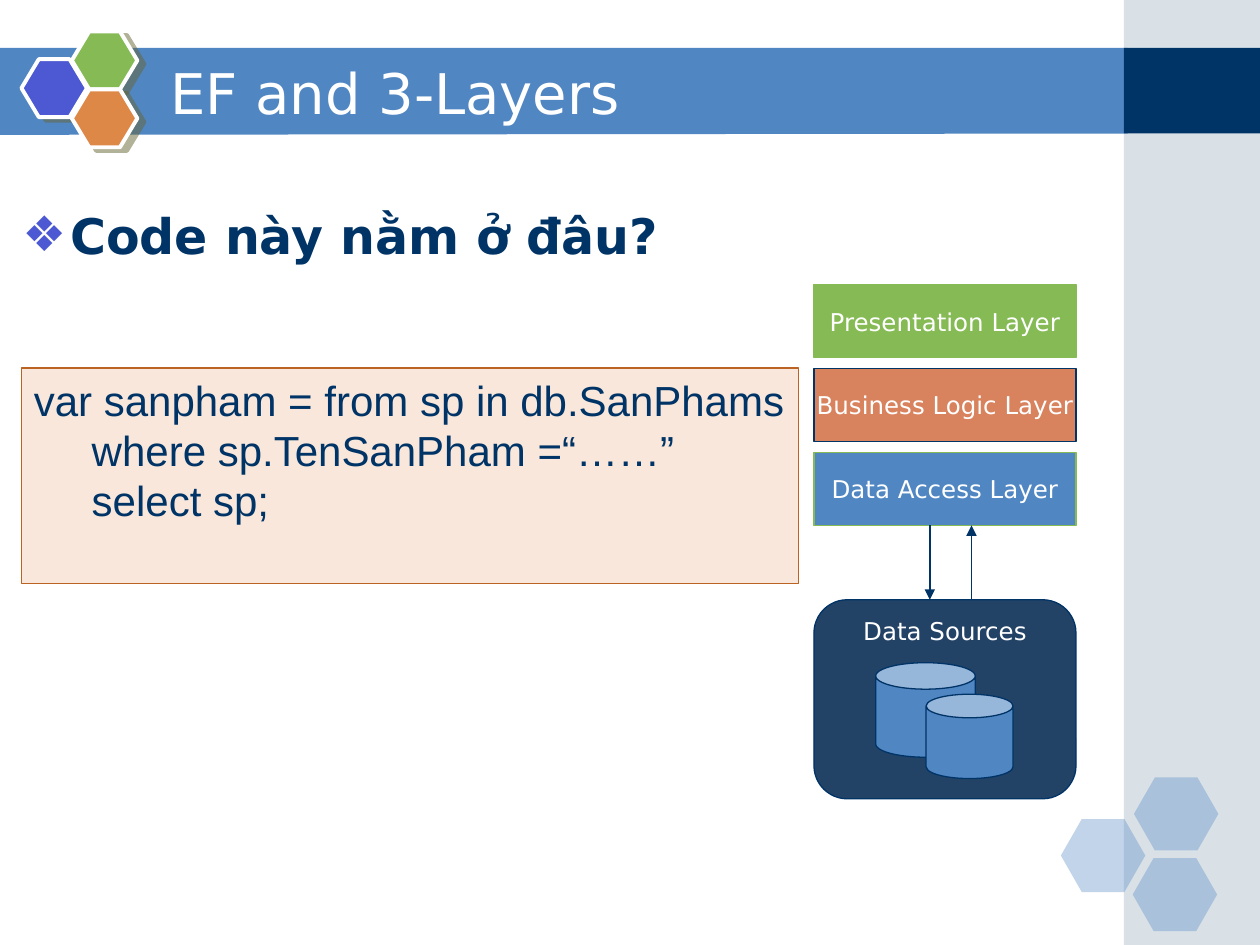
"""Builds the slide that places an Entity Framework query in a three-layer design."""
from lxml import etree
from pptx import Presentation
from pptx.dml.color import RGBColor
from pptx.enum.shapes import MSO_CONNECTOR, MSO_SHAPE
from pptx.enum.text import MSO_ANCHOR, PP_ALIGN
from pptx.oxml.ns import qn
from pptx.util import Inches, Pt

RECT, HEXAGON = MSO_SHAPE.RECTANGLE, MSO_SHAPE.HEXAGON
ROUNDED, CAN = MSO_SHAPE.ROUNDED_RECTANGLE, MSO_SHAPE.CAN
STRAIGHT = MSO_CONNECTOR.STRAIGHT
LEFT, CENTER = PP_ALIGN.LEFT, PP_ALIGN.CENTER
TOP, MIDDLE = MSO_ANCHOR.TOP, MSO_ANCHOR.MIDDLE

NAVY, BLUE, GREEN, WHITE = "003366", "5086C2", "85BA54", "FFFFFF"
SANS = "DejaVu Sans"
TITLE = "EF and 3-Layers"
QUESTION = "Code này nằm ở đâu?"
CODE = [("var sanpham = from sp in db.SanPhams", 0),
        ("where sp.TenSanPham =“……”", 0.46),
        ("select sp;", 0.46)]
LAYERS = [("Presentation Layer", GREEN, GREEN),
          ("Business Logic Layer", "D8835E", NAVY),
          ("Data Access Layer", BLUE, GREEN)]
LAYER_X, LAYER_Y, LAYER_W, LAYER_H, LAYER_STEP = 6.46, 2.26, 2.08, 0.58, 0.665
SOURCES_Y, SOURCES_H = 4.76, 1.58
CANS = [(6.95, 5.26, 0.79, 0.75), (7.35, 5.51, 0.69, 0.67)]
ARROWS = [(7.38, 4.17, SOURCES_Y), (7.71, SOURCES_Y, 4.17)]
FADED_HEXAGONS = [(8.42, 6.5), (9, 6.17), (8.99, 6.81)]
LOGO_HEXAGONS = [(0.17, 0.47, "4C59D2"), (0.57, 0.25, GREEN), (0.57, 0.71, "DE8848")]


def rgb(color):
    return RGBColor.from_string(color)


def child(parent, tag, **attrs):
    return etree.SubElement(parent, qn(tag), {k: str(v) for k, v in attrs.items()})


def paint(s, fill, line=None, width=0.75, alpha=None):
    s.shadow.inherit = False
    s.fill.solid()
    s.fill.fore_color.rgb = rgb(fill)
    if alpha:
        color = s.fill._xPr.find(qn("a:solidFill"))[0]
        child(color, "a:alpha", val=alpha * 1000)
    if line:
        s.line.color.rgb = rgb(line)
        s.line.width = Pt(width)
    else:
        s.line.fill.background()


def add_shape(kind, box, fill, line=None, width=0.75, alpha=None, adj=None):
    s = shapes.add_shape(kind, *map(Inches, box))
    paint(s, fill, line, width, alpha)
    if adj:
        s.adjustments[0] = adj
    return s


def write(s, lines, size, font, color, align=LEFT, anchor=TOP, wrap=True, bold=False):
    tf = s.text_frame
    tf.word_wrap = wrap
    tf.vertical_anchor = anchor
    tf.text = "\n".join(lines)
    for p in tf.paragraphs:
        p.alignment = align
        for r in p.runs:
            r.font.size, r.font.name, r.font.bold = Pt(size), font, bold
            r.font.color.rgb = rgb(color)
    return tf


def cast_shadow(s):
    effects = s._element.spPr.find(qn("a:effectLst"))
    shadow = child(effects, "a:outerShdw", blurRad=0, dist=Pt(4.5),
                   dir=27 * 60000, algn="ctr", rotWithShape=0)
    child(child(shadow, "a:srgbClr", val="666633"), "a:alpha", val=50000)


def add_arrow(x, start, end):
    c = shapes.add_connector(STRAIGHT, *map(Inches, (x, start, x, end)))
    c.line.color.rgb = rgb(NAVY)
    c.line.width = Pt(0.75)
    child(c.line._get_or_add_ln(), "a:tailEnd", type="triangle", w="med", len="med")
    child(c._element.spPr, "a:effectLst")


prs = Presentation()
prs.slide_width, prs.slide_height = Inches(10), Inches(7.5)
slide = prs.slides.add_slide(prs.slide_layouts[5])
shapes = slide.shapes

band = shapes.build_freeform(Inches(-0.01), Inches(0.38))
band.add_line_segments([(Inches(x), Inches(y)) for x, y in
                        [(8.95, 0.38), (8.95, 1.06), (-0.01, 1.07)]])
paint(band.convert_to_shape(), BLUE)
add_shape(RECT, (8.92, 0, 1.08, 7.5), "A0B5C4", alpha=40)
add_shape(RECT, (8.92, 0.38, 1.08, 0.68), NAVY)
for x, y in FADED_HEXAGONS:
    add_shape(HEXAGON, (x, y, 0.67, 0.58), BLUE, alpha=35, adj=0.286)
for x, y, color in LOGO_HEXAGONS:
    cast_shadow(add_shape(HEXAGON, (x, y, 0.52, 0.46), color, WHITE, 2.25, adj=0.3))

title = shapes.title
title.left, title.top, title.width, title.height = map(Inches, (1.25, 0.42, 7.33, 0.62))
write(title, [TITLE], 32, SANS, WHITE, anchor=MIDDLE)
shapes._spTree.append(title._element)

for i, (name, fill, line) in enumerate(LAYERS):
    box = (LAYER_X, LAYER_Y + i * LAYER_STEP, LAYER_W, LAYER_H)
    s = add_shape(RECT, box, fill, line)
    write(s, [name], 14, SANS, WHITE, CENTER, MIDDLE, wrap=False)

sources = add_shape(ROUNDED, (LAYER_X, SOURCES_Y, LAYER_W, SOURCES_H), "234366", NAVY, adj=0.167)
write(sources, ["Data Sources"], 14, SANS, WHITE, CENTER, wrap=False)
for box in CANS:
    add_shape(CAN, box, BLUE, NAVY, adj=0.28)
for arrow in ARROWS:
    add_arrow(*arrow)

question = shapes.add_textbox(*map(Inches, (0.08, 1.58, 6.25, 4.95)))
p = write(question, [QUESTION], 28, SANS, NAVY, bold=True).paragraphs[0]
p.space_before = Pt(5.6)
pPr = p._p.get_or_add_pPr()
pPr.set("marL", str(Inches(0.38)))
pPr.set("indent", str(Inches(-0.38)))
child(child(pPr, "a:buClr"), "a:srgbClr", val="4C59D2")
child(pPr, "a:buFont", typeface=SANS)
child(pPr, "a:buChar", char="❖")

code = add_shape(RECT, (0.17, 2.92, 6.17, 1.71), "F8E7DA", "BB6322")
tf = write(code, [text for text, _ in CODE], 24, "Arial", NAVY)
for p, (_, indent) in zip(tf.paragraphs, CODE):
    p._p.get_or_add_pPr().set("marL", str(Inches(indent)))

prs.save("out.pptx")
